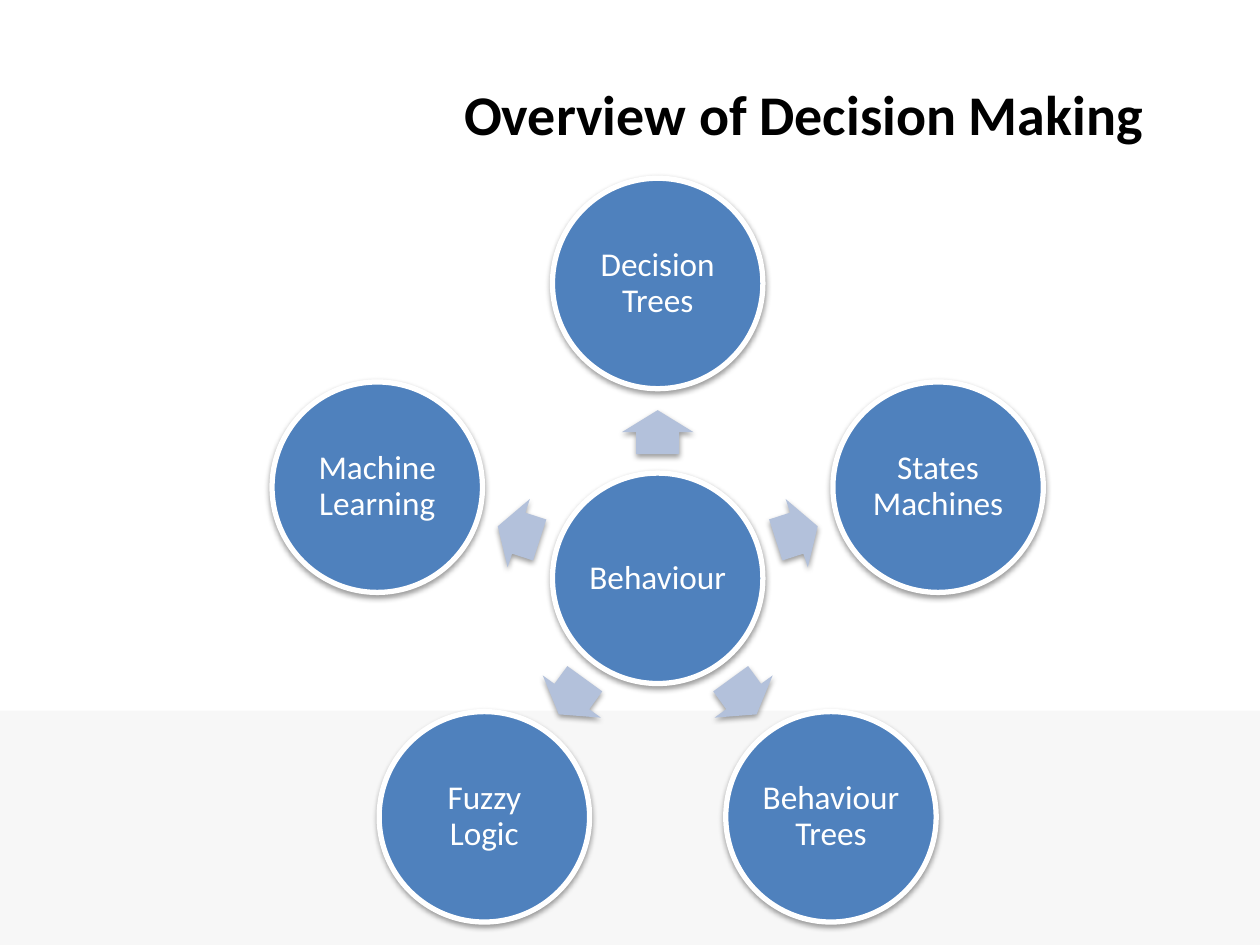
from dataclasses import dataclass
from math import cos, radians, sin

from lxml import etree
from pptx import Presentation
from pptx.dml.color import RGBColor
from pptx.enum.shapes import MSO_SHAPE
from pptx.enum.text import MSO_ANCHOR, MSO_AUTO_SIZE, PP_ALIGN
from pptx.oxml.ns import qn
from pptx.shapes.autoshape import Shape
from pptx.slide import Slide
from pptx.text.text import TextFrame
from pptx.util import Inches, Pt

RECT, OVAL, ARROW = MSO_SHAPE.RECTANGLE, MSO_SHAPE.OVAL, MSO_SHAPE.RIGHT_ARROW
MIDDLE, TOP = MSO_ANCHOR.MIDDLE, MSO_ANCHOR.TOP
CENTER = PP_ALIGN.CENTER
GROW = MSO_AUTO_SIZE.SHAPE_TO_FIT_TEXT


@dataclass(frozen=True)
class Theme:
    font: str = "Calibri"
    black: str = "000000"
    white: str = "FFFFFF"
    band: str = "F7F7F7"
    blue: str = "4F81BD"
    pale: str = "B3C1DB"
    title: int = 32
    label: int = 19


@dataclass(frozen=True)
class Topic:
    label: str
    angle: int  # degrees clockwise from the right


THEME = Theme()
HUB_X, HUB_Y = 5.22, 4.59
RING, ARROW_RING = 2.34, 1.16
SIZE = 1.67
ARROW_W, ARROW_H = 0.35, 0.57
NAMES = ("Decision Trees", "States Machines", "Behaviour Trees",
         "Fuzzy Logic", "Machine Learning")
TOPICS = [Topic(name, (270 + 360 // len(NAMES) * i) % 360)
          for i, name in enumerate(NAMES)]


def add_text(frame: TextFrame, text: str, size: int, color: str, bold: bool = False) -> None:
    para = frame.paragraphs[0]
    para.alignment = CENTER
    run = para.add_run()
    run.text = text
    font = run.font
    font.name, font.size, font.bold = THEME.font, Pt(size), bold
    font.color.rgb = RGBColor.from_string(color)


def add_shape(slide: Slide, kind: MSO_SHAPE, x: float, y: float,
              width: float, height: float, fill: str) -> Shape:
    """Add a plain filled shape centred on x, y."""
    shape = slide.shapes.add_shape(
        kind, Inches(x - width / 2), Inches(y - height / 2), Inches(width), Inches(height))
    shape.shadow.inherit = False
    shape.fill.solid()
    shape.fill.fore_color.rgb = RGBColor.from_string(fill)
    shape.line.fill.background()
    return shape


def add_shadow(shape: Shape) -> None:
    effects = shape.fill._xPr.find(qn("a:effectLst"))
    outer = etree.SubElement(effects, qn("a:outerShdw"), blurRad="40000", dist="20000",
                             dir="5400000", rotWithShape="0")
    color = etree.SubElement(outer, qn("a:srgbClr"), val=THEME.black)
    etree.SubElement(color, qn("a:alpha"), val="38000")


def add_circle(slide: Slide, label: str, x: float, y: float) -> None:
    circle = add_shape(slide, OVAL, x, y, SIZE, SIZE, THEME.blue)
    circle.line.color.rgb = RGBColor.from_string(THEME.white)
    circle.line.width = Pt(3)
    add_shadow(circle)
    frame = circle.text_frame
    frame.word_wrap = True
    frame.vertical_anchor = MIDDLE
    frame.margin_left = frame.margin_right = Inches(0.03)
    frame.margin_top = frame.margin_bottom = Inches(0.03)
    add_text(frame, label, THEME.label, THEME.white)
    frame.paragraphs[0].line_spacing = 0.9


def add_topic(slide: Slide, topic: Topic) -> None:
    """Add an arrow out of the hub and the circle it points to."""
    dx, dy = cos(radians(topic.angle)), sin(radians(topic.angle))
    arrow = add_shape(slide, ARROW, HUB_X + ARROW_RING * dx, HUB_Y + ARROW_RING * dy,
                      ARROW_W, ARROW_H, THEME.pale)
    arrow.adjustments[0], arrow.adjustments[1] = 0.6, 0.5
    arrow.rotation = topic.angle
    add_shadow(arrow)
    add_circle(slide, topic.label, HUB_X + RING * dx, HUB_Y + RING * dy)


def add_title(slide: Slide, text: str) -> None:
    title = slide.shapes.title
    title.left, title.top = Inches(2.92), Inches(0.58)
    title.width, title.height = Inches(6.92), Inches(0.64)
    frame = title.text_frame
    frame.word_wrap = True
    frame.auto_size = GROW
    frame.vertical_anchor = TOP
    add_text(frame, text, THEME.title, THEME.black, bold=True)


def main() -> None:
    deck = Presentation()
    deck.slide_width, deck.slide_height = Inches(10), Inches(7.5)
    slide = deck.slides.add_slide(deck.slide_layouts[5])
    add_shape(slide, RECT, 5, 6.57, 10, 1.86, THEME.band)
    add_title(slide, "Overview of Decision Making")
    add_circle(slide, "Behaviour", HUB_X, HUB_Y)
    for topic in TOPICS:
        add_topic(slide, topic)
    deck.save("out.pptx")


if __name__ == "__main__":
    main()
